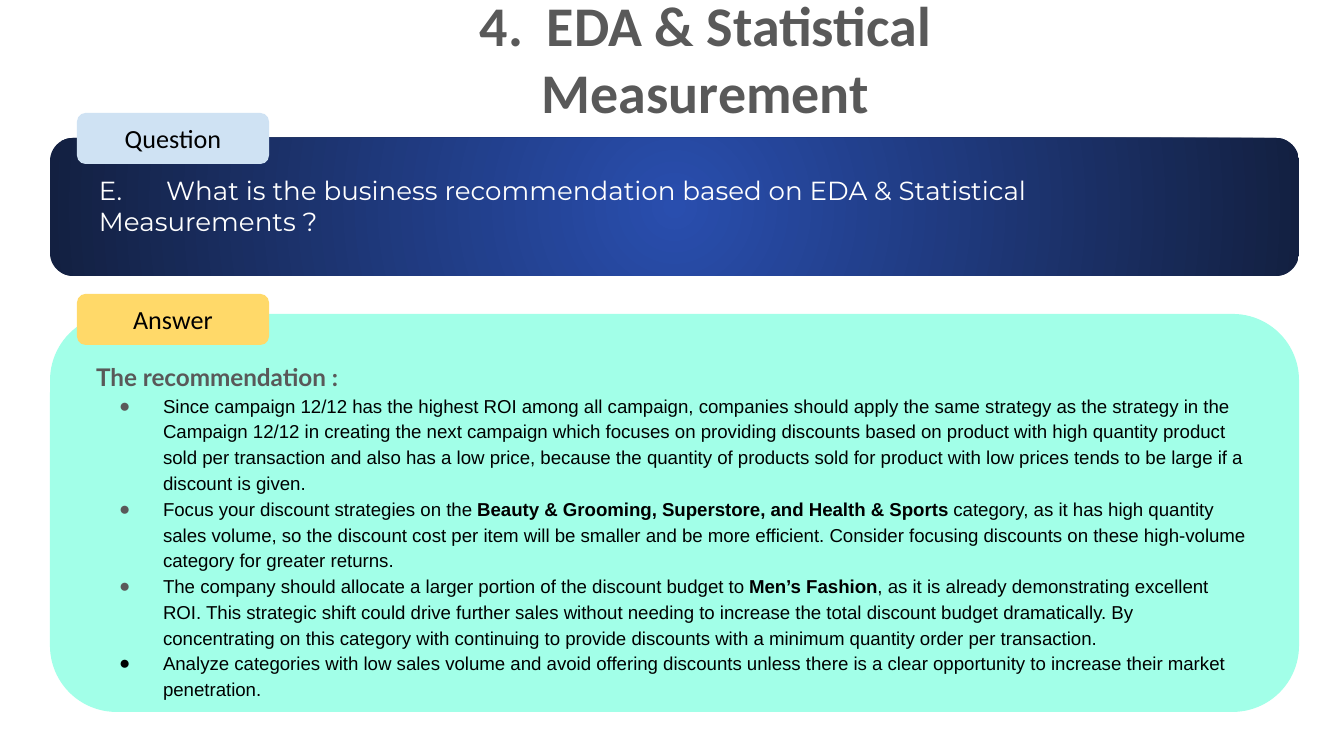
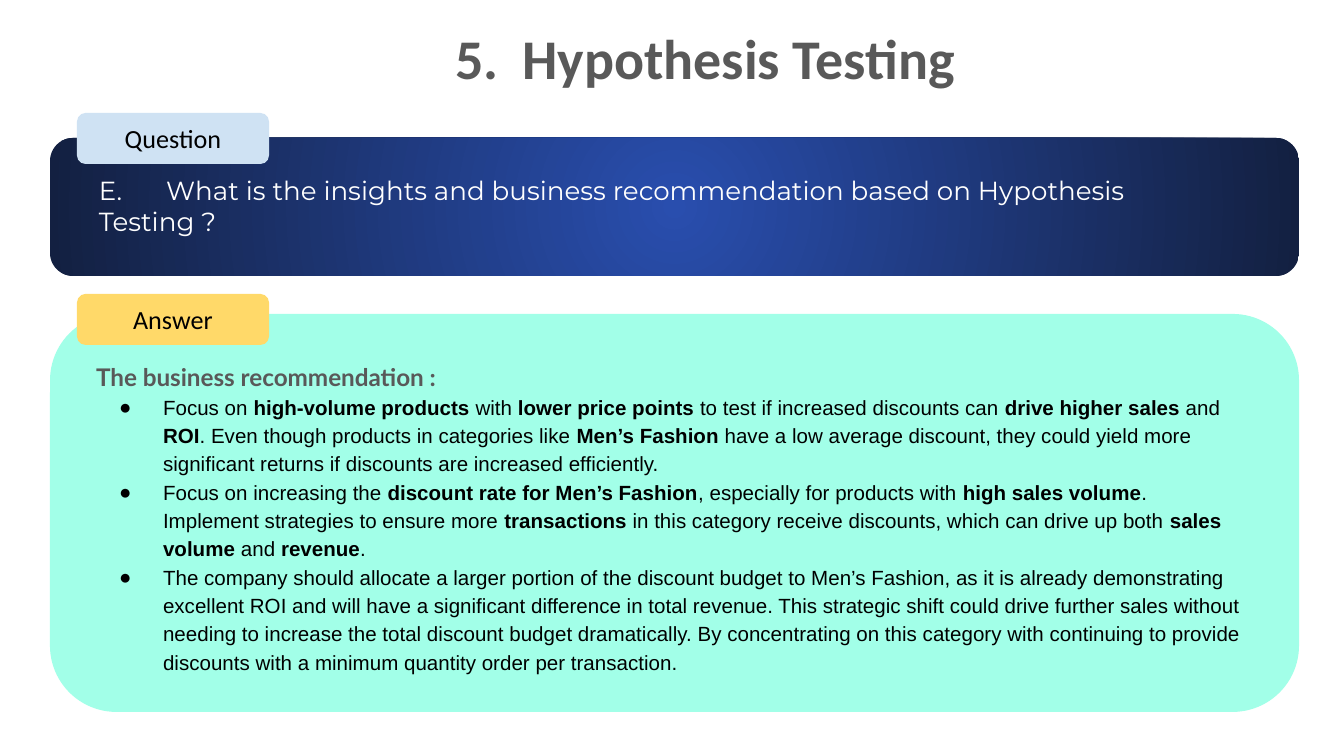
"""Build two question-and-answer slides on campaign recommendations."""
from dataclasses import dataclass

from lxml.etree import SubElement
from pptx import Presentation
from pptx.dml.color import RGBColor
from pptx.enum.shapes import MSO_SHAPE as Shape
from pptx.enum.text import MSO_ANCHOR as Anchor, MSO_AUTO_SIZE as Fit, PP_ALIGN as Align
from pptx.oxml.ns import qn
from pptx.util import Pt


@dataclass(frozen=True)
class Theme:
    grey: str = "595959"
    black: str = "000000"
    white: str = "FFFFFF"
    band_centre: str = "294EAE"
    band_edge: str = "132041"
    panel: str = "A2FFE8"
    question: str = "CFE2F3"
    answer: str = "FFD969"
    title_size: int = 30
    label_size: int = 14
    lead_size: int = 13
    title_font: str = "Calibri"
    question_font: str = "Montserrat"
    lead_font: str = "Lato"
    body_font: str = "Arial"


THEME = Theme()

PAGES = [
    {
        "title": "4.\tEDA & Statistical Measurement",
        "question": "E.\tWhat is the business recommendation based on EDA & Statistical Measurements ?",
        "lead": "The recommendation :",
        "size": 10,
        "height": 429,
        "bullets": [
            (THEME.grey, "Since campaign 12/12 has the highest ROI among all campaign, companies should "
             "apply the same strategy as the strategy in the Campaign 12/12 in creating the next campaign "
             "which focuses on providing discounts based on product with high quantity product sold per "
             "transaction and also has a low price, because the quantity of products sold for product with "
             "low prices tends to be large if a discount is given."),
            (THEME.grey, "Focus your discount strategies on the **Beauty & Grooming, Superstore, and Health "
             "& Sports** category, as it has high quantity sales volume, so the discount cost per item will "
             "be smaller and be more efficient. Consider focusing discounts on these high-volume category "
             "for greater returns."),
            (THEME.grey, "The company should allocate a larger portion of the discount budget to **Men’s "
             "Fashion**, as it is already demonstrating excellent ROI. This strategic shift could drive "
             "further sales without needing to increase the total discount budget dramatically. By "
             "concentrating on this category with continuing to provide discounts with a minimum quantity "
             "order per transaction."),
            (THEME.black, "Analyze categories with low sales volume and avoid offering discounts unless "
             "there is a clear opportunity to increase their market penetration."),
        ],
    },
    {
        "title": "5.\tHypothesis Testing",
        "question": "E.\tWhat is the insights and business recommendation based on Hypothesis Testing ?",
        "lead": "The business recommendation :",
        "size": 11,
        "height": 478,
        "bullets": [
            (THEME.black, "Focus on **high-volume products** with **lower price points** to test if "
             "increased discounts can **drive higher sales** and **ROI**. Even though products in "
             "categories like **Men’s Fashion** have a low average discount, they could yield more "
             "significant returns if discounts are increased efficiently."),
            (THEME.black, "Focus on increasing the **discount rate for Men’s Fashion**, especially for "
             "products with **high sales volume**. Implement strategies to ensure more **transactions** in "
             "this category receive discounts, which can drive up both **sales volume** and **revenue**."),
            (THEME.black, "The company should allocate a larger portion of the discount budget to Men’s "
             "Fashion, as it is already demonstrating excellent ROI and will have a significant difference "
             "in total revenue. This strategic shift could drive further sales without needing to increase "
             "the total discount budget dramatically. By concentrating on this category with continuing to "
             "provide discounts with a minimum quantity order per transaction."),
        ],
    },
]

SLIDE = (1344, 756)
TITLE = (231, 13, 882, 89)
BAND = (50, 138, 1249, 138)
PANEL = (50, 314, 1249, 398)
QUESTION_LABEL = (77, 113, 192, 51)
ANSWER_LABEL = (77, 294, 192, 51)
QUESTION = (86, 161, 1177, 59)
ANSWER = (83, 349, 1177)
INSET, INDENT, HANG, TAB = 13, 67, 44, 134


def px(length):
    return round(length * 914400 / 134.4)


def place(box, left, top, width, height):
    box.left, box.top, box.width, box.height = map(px, (left, top, width, height))


def frame_of(box, anchor=Anchor.TOP, fit=Fit.NONE):
    frame = box.text_frame
    frame.word_wrap = True
    frame.auto_size = fit
    frame.vertical_anchor = anchor
    frame.margin_left = frame.margin_right = frame.margin_top = frame.margin_bottom = px(INSET)
    return frame


def write(para, text, *, size, font, color, bold=False, align=Align.LEFT,
          indent=0, hang=0, spacing=1.0, bullet=None):
    para.alignment = align
    para.line_spacing = spacing
    para.space_before = Pt(0)
    props = para._p.get_or_add_pPr()
    props.set("marL", str(px(indent)))
    props.set("indent", str(-px(hang)))
    if bullet:
        SubElement(SubElement(props, qn("a:buClr")), qn("a:srgbClr"), val=bullet)
        SubElement(props, qn("a:buFont"), typeface=font)
        SubElement(props, qn("a:buChar"), char="●")
    else:
        SubElement(props, qn("a:buNone"))
    if "\t" in text:
        SubElement(SubElement(props, qn("a:tabLst")), qn("a:tab"), pos=str(px(TAB)), algn="l")
    for number, part in enumerate(text.split("**")):
        span = para.add_run()
        span.text = part
        span.font.size = Pt(size)
        span.font.name = font
        span.font.bold = bold or number % 2 == 1
        span.font.color.rgb = RGBColor.from_string(color)


def add_panel(page, area, color):
    box = page.shapes.add_shape(Shape.ROUNDED_RECTANGLE, *map(px, area))
    box.shadow.inherit = False
    box.line.fill.background()
    box.fill.solid()
    box.fill.fore_color.rgb = RGBColor.from_string(color)
    return box


def add_band(page):
    fill = add_panel(page, BAND, THEME.band_edge).fill
    fill.gradient()
    for stop, place_at, color in zip(fill.gradient_stops, (0, 1), (THEME.band_centre, THEME.band_edge)):
        stop.position = place_at
        stop.color.rgb = RGBColor.from_string(color)
    gradient = page.shapes[-1].element.spPr.find(qn("a:gradFill"))
    gradient.remove(gradient.find(qn("a:lin")))
    circle = SubElement(gradient, qn("a:path"), path="circle")
    SubElement(circle, qn("a:fillToRect"), l="50000", t="50000", r="50000", b="50000")


def add_label(page, area, text, color):
    frame = frame_of(add_panel(page, area, color), Anchor.MIDDLE)
    write(frame.paragraphs[0], text, size=THEME.label_size, font=THEME.title_font,
          color=THEME.black, align=Align.CENTER)


def add_page(deck, content):
    page = deck.slides.add_slide(deck.slide_layouts[1])
    title, answer = page.shapes.title, page.placeholders[1]
    place(title, *TITLE)
    write(frame_of(title, Anchor.MIDDLE).paragraphs[0], content["title"], size=THEME.title_size,
          font=THEME.title_font, color=THEME.grey, bold=True, align=Align.CENTER, indent=INDENT)

    add_band(page)
    add_panel(page, PANEL, THEME.panel)
    add_label(page, QUESTION_LABEL, "Question", THEME.question)
    add_label(page, ANSWER_LABEL, "Answer", THEME.answer)

    question = page.shapes.add_textbox(*map(px, QUESTION))
    write(frame_of(question, fit=Fit.SHAPE_TO_FIT_TEXT).paragraphs[0], content["question"],
          size=THEME.label_size, font=THEME.question_font, color=THEME.white)

    page.shapes.element.append(answer.element)
    place(answer, *ANSWER, content["height"])
    frame = frame_of(answer, fit=Fit.SHAPE_TO_FIT_TEXT)
    write(frame.paragraphs[0], content["lead"], size=THEME.lead_size, font=THEME.lead_font,
          color=THEME.grey, bold=True)
    for marker, text in content["bullets"]:
        write(frame.add_paragraph(), text, size=content["size"], font=THEME.body_font,
              color=THEME.black, indent=INDENT, hang=HANG, spacing=1.15, bullet=marker)


def main():
    deck = Presentation()
    deck.slide_width, deck.slide_height = map(px, SLIDE)
    for content in PAGES:
        add_page(deck, content)
    deck.save("out.pptx")


if __name__ == "__main__":
    main()
